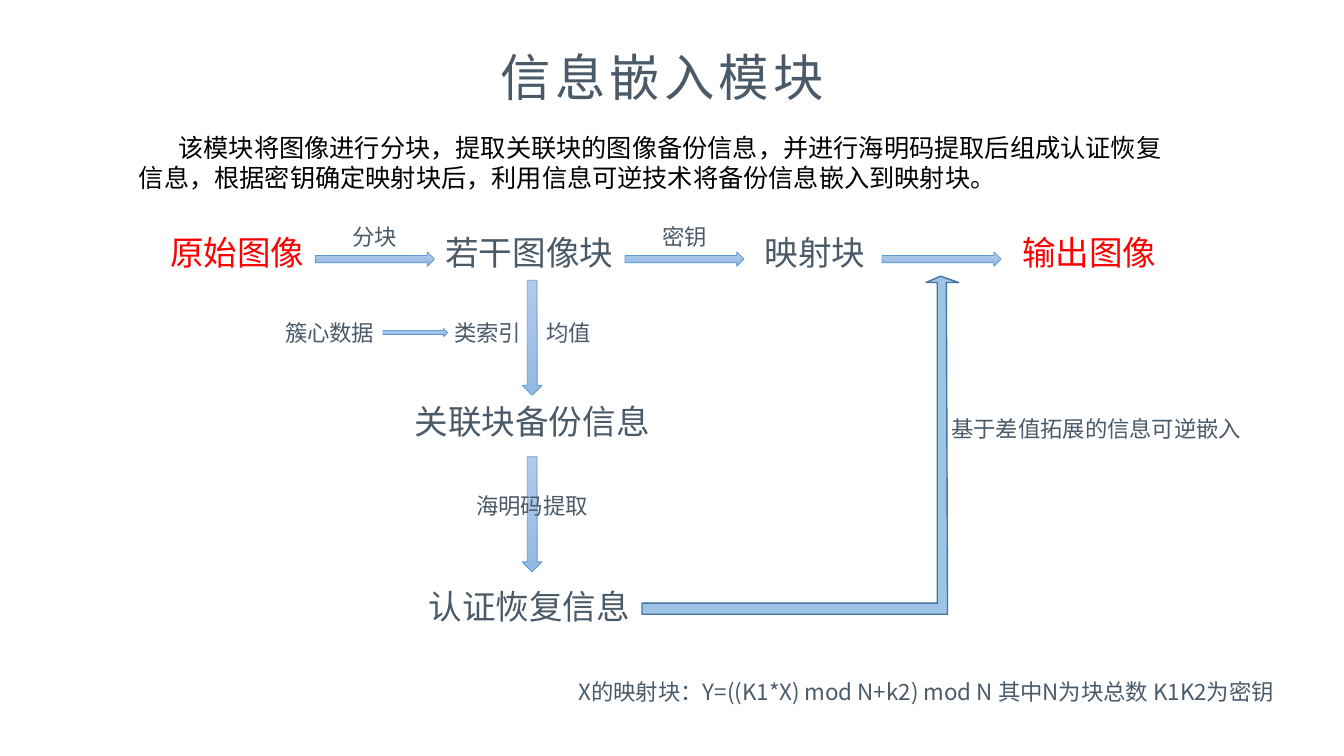
from lxml import etree
from pptx import Presentation
from pptx.dml.color import RGBColor
from pptx.enum.shapes import MSO_SHAPE
from pptx.enum.text import MSO_AUTO_SIZE, PP_ALIGN
from pptx.oxml.ns import qn
from pptx.util import Cm, Pt

RIGHT, DOWN = MSO_SHAPE.RIGHT_ARROW, MSO_SHAPE.DOWN_ARROW
CENTER, LEFT = PP_ALIGN.CENTER, PP_ALIGN.LEFT
GROW = MSO_AUTO_SIZE.SHAPE_TO_FIT_TEXT

SLATE = RGBColor(0x4A, 0x5A, 0x69)
RED = RGBColor(0xFF, 0x00, 0x00)
BLACK = RGBColor(0x00, 0x00, 0x00)
ARROW_LIGHT = RGBColor(0xB1, 0xCB, 0xE9)
ARROW_DARK = RGBColor(0x93, 0xB9, 0xE4)
ARROW_LINE = RGBColor(0x5B, 0x9B, 0xD5)
PATH_FILL = RGBColor(0x9D, 0xC3, 0xE6)
PATH_LINE = RGBColor(0x43, 0x73, 0x9E)
FONT = "Noto Sans CJK SC"
NODE, NOTE = 24, 16
NODE_H, NOTE_H = 1.27, 0.94


def add_text(s, box, text, size, color=SLATE, align=CENTER, wrap=False):
    sp = s.shapes.add_textbox(*map(Cm, box))
    tf = sp.text_frame
    tf.word_wrap = wrap
    tf.auto_size = GROW
    p = tf.paragraphs[0]
    p.alignment = align
    r = p.add_run()
    r.text = text
    r.font.name = FONT
    r.font.size = Pt(size)
    r.font.color.rgb = color
    r_pr = r.font._element
    etree.SubElement(r_pr, qn("a:ea")).set("typeface", FONT)
    return p, r_pr


def add_centered(s, center, top, width, text, size, color=SLATE):
    height = NODE_H if size == NODE else NOTE_H
    add_text(s, (center - width / 2, top, width, height), text, size, color)


def add_arrow(s, kind, box):
    sp = s.shapes.add_shape(kind, *map(Cm, box))
    sp.shadow.inherit = False
    sp.fill.gradient()
    sp.fill.gradient_angle = 270
    for stop, color in zip(sp.fill.gradient_stops, (ARROW_LIGHT, ARROW_DARK)):
        stop.color.rgb = color
    sp.line.color.rgb = ARROW_LINE
    sp.line.width = Pt(0.5)


def heading(s, box):
    r_pr = add_text(s, box, "信息嵌入模块", 36)[1]
    r_pr.set("spc", "300")


def introduction(s, box):
    text = ("该模块将图像进行分块，提取关联块的图像备份信息，并进行海明码提取后组成认证恢复"
            "信息，根据密钥确定映射块后，利用信息可逆技术将备份信息嵌入到映射块。")
    p = add_text(s, box, text, 18, BLACK, LEFT, True)[0]
    p._p.get_or_add_pPr().set("indent", str(Cm(1)))


def main_flow(s, box):
    left, top, width, height = box
    nodes = [("原始图像", 1.97, 3.94, RED), ("若干图像块", 9.33, 4.78, SLATE),
             ("映射块", 16.53, 3.07, SLATE), ("输出图像", width - 1.97, 3.94, RED)]
    for text, center, node_w, color in nodes:
        add_centered(s, left + center, top + height - NODE_H, node_w, text, NODE, color)
    for x, text in ((3.94, "分块"), (11.74, "密钥"), (18.22, None)):
        add_arrow(s, RIGHT, (left + x, top + 0.85, 3, 0.36))
        if text:
            add_centered(s, left + x + 1.5, top, 1.65, text, NOTE)


def backup_column(s, box):
    left, top, width, height = box
    axis = left + width - 3.25
    for y in (0, 4.45):
        add_arrow(s, DOWN, (axis - 0.25, top + y, 0.5, 2.9))
    add_centered(s, axis, top + 2.92, 6.5, "关联块备份信息", NODE)
    add_centered(s, axis - 0.07, top + height - NODE_H, 5.64, "认证恢复信息", NODE)
    add_centered(s, axis, top + 5.21, 3.35, "海明码提取", NOTE)

    index_y = top + 0.86
    add_centered(s, left + 1.4, index_y, 2.8, "簇心数据", NOTE)
    add_arrow(s, RIGHT, (left + 2.74, index_y + 0.36, 1.63, 0.2))
    add_centered(s, axis - 1.12, index_y, 2.24, "类索引", NOTE)
    add_centered(s, axis + 0.93, index_y, 1.65, "均值", NOTE)


def embedding_path(s, box):
    left, top, width, height = box
    shaft_l, shaft_r = width - 0.54, width - 0.28
    points = [(0, height - 0.28), (shaft_l, height - 0.28), (shaft_l, 0.16),
              (width - 0.82, 0.16), (width - 0.46, 0), (width, 0.16),
              (shaft_r - 0.03, 0.16), (shaft_r, height), (0, height)]
    outline = [(round((left + x) * 100), round((top + y) * 100)) for x, y in points]
    builder = s.shapes.build_freeform(*outline[0], scale=Cm(0.01))
    builder.add_line_segments(outline[1:], close=True)
    sp = builder.convert_to_shape()
    sp.shadow.inherit = False
    sp.fill.solid()
    sp.fill.fore_color.rgb = PATH_FILL
    sp.line.color.rgb = PATH_LINE
    sp.line.width = Pt(1)
    add_text(s, (left + width - 0.49, top + 3.38, 7.92, NOTE_H),
             "基于差值拓展的信息可逆嵌入", NOTE)


def formula(s, box):
    add_text(s, box, "X的映射块：Y=((K1*X) mod N+k2) mod N 其中N为块总数 K1K2为密钥", NOTE)


def main():
    prs = Presentation()
    prs.slide_width, prs.slide_height = Cm(33.87), Cm(19.05)
    s = prs.slides.add_slide(prs.slide_layouts[6])
    heading(s, (12.27, 1.04, 8.84, 1.8))
    introduction(s, (3.25, 3.2, 26.29, 1.8))
    main_flow(s, (4.01, 5.5, 25.41, 1.49))
    backup_column(s, (6.91, 7.06, 9.75, 8.84))
    embedding_path(s, (16.18, 6.96, 7.98, 8.52))
    formula(s, (13.46, 16.97, 19.76, NOTE_H))
    prs.save("out.pptx")


if __name__ == "__main__":
    main()
